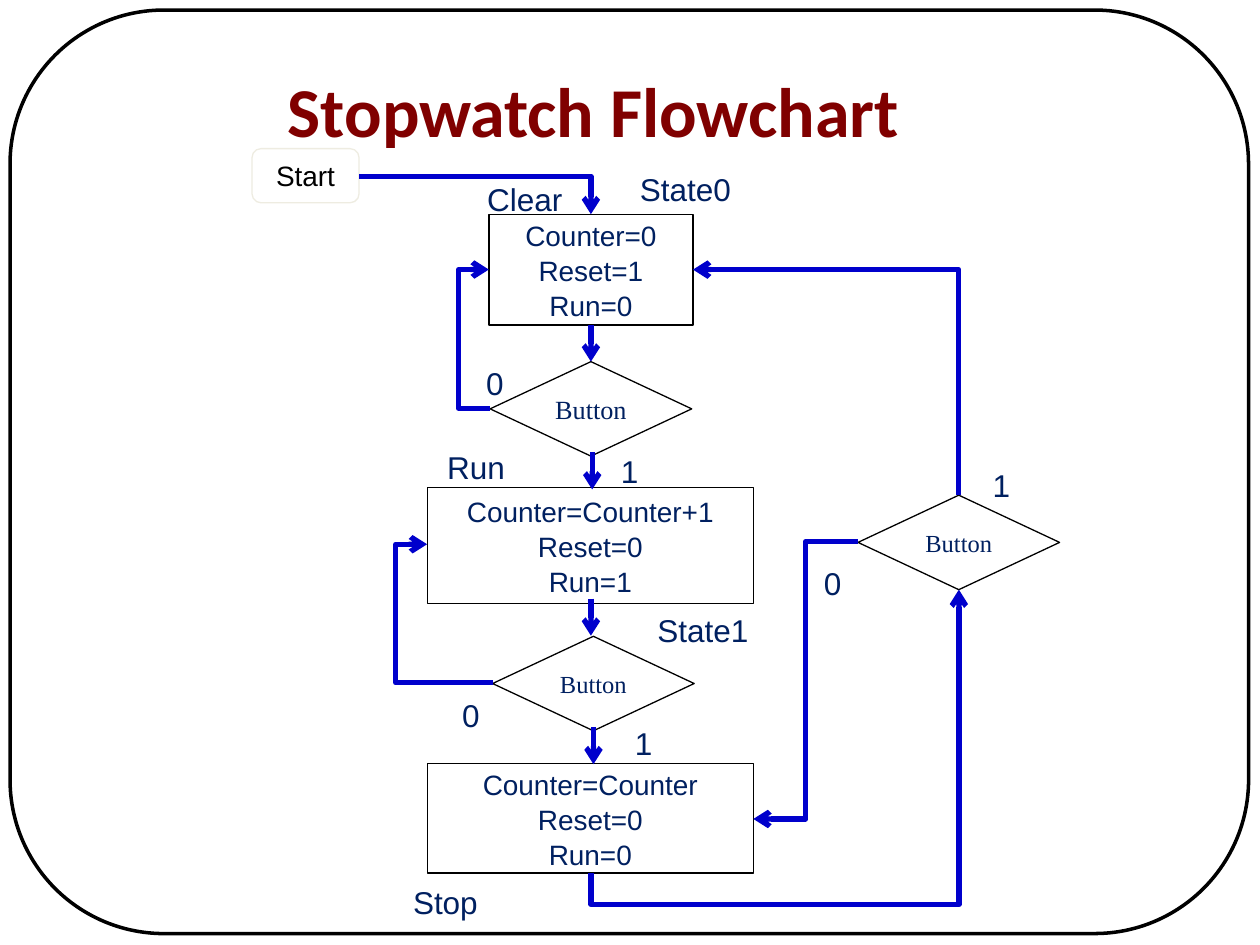
from lxml import etree
from pptx import Presentation
from pptx import util as u
from pptx.dml.color import RGBColor
from pptx.enum import shapes, text
from pptx.oxml.ns import qn

BLACK = RGBColor(0x00, 0x00, 0x00)
WHITE = RGBColor(0xFF, 0xFF, 0xFF)
IVORY = RGBColor(0xEE, 0xEC, 0xE1)
MAROON = RGBColor(0x80, 0x00, 0x00)
NAVY = RGBColor(0x00, 0x20, 0x60)
BLUE = RGBColor(0x00, 0x00, 0xCC)

COLUMNS, ROWS = 100, 75
CENTER = text.PP_ALIGN.CENTER
LEFT = text.PP_ALIGN.LEFT


class Flowchart:
    def __init__(self, deck):
        self.cell_w = deck.slide_width / COLUMNS
        self.cell_h = deck.slide_height / ROWS
        self.shapes = deck.slides.add_slide(deck.slide_layouts[6]).shapes

    def place(self, *lengths):
        cells = (self.cell_w, self.cell_h)
        return [u.Emu(round(n * cells[i % 2])) for i, n in enumerate(lengths)]

    def caption(self, shape, lines, size, font="Arial", color=NAVY, align=CENTER,
                bold=False, spacing=None):
        frame = shape.text_frame
        frame.word_wrap = True
        frame.vertical_anchor = text.MSO_ANCHOR.MIDDLE
        frame.text = "\n".join(lines)
        for paragraph in frame.paragraphs:
            paragraph.alignment = align
            paragraph.line_spacing = spacing
            paragraph.font.size = u.Pt(size)
            paragraph.font.name = font
            paragraph.font.bold = bold
            paragraph.font.color.rgb = color

    def outline(self, kind, at, line=BLACK, width=0.75, fill=None):
        shape = self.shapes.add_shape(kind, *self.place(*at))
        shape.shadow.inherit = False
        if fill is None:
            shape.fill.background()
        else:
            shape.fill.solid()
            shape.fill.fore_color.rgb = fill
        shape.line.color.rgb = line
        shape.line.width = u.Pt(width)
        return shape

    def rounded(self, at, line, width):
        return self.outline(shapes.MSO_SHAPE.ROUNDED_RECTANGLE, at, line, width)

    def process(self, at, *lines):
        box = self.outline(shapes.MSO_SHAPE.FLOWCHART_PROCESS, at, fill=WHITE)
        self.caption(box, lines, 16, spacing=1.04)
        return box

    def decision(self, left, top, size=14):
        diamond = self.outline(shapes.MSO_SHAPE.FLOWCHART_DECISION,
                               (left, top, 16, 7.5), fill=WHITE)
        self.caption(diamond, ["Button"], size, "Times New Roman")
        return diamond

    def label(self, wording, at, size=18, **style):
        self.caption(self.shapes.add_textbox(*self.place(*at)), [wording], size, **style)

    def arrow(self, start, end, kind=shapes.MSO_CONNECTOR.STRAIGHT):
        link = self.shapes.add_connector(kind, *self.place(*start, *end))
        link.line.color.rgb = BLUE
        link.line.width = u.Pt(3)
        properties = link._element.spPr
        etree.SubElement(properties.find(qn("a:ln")), qn("a:tailEnd"), type="arrow")
        etree.SubElement(properties, qn("a:effectLst"))
        return link

    def elbow(self, start, end, bend=None, upward=False):
        link = self.arrow(start, end, shapes.MSO_CONNECTOR.ELBOW)
        properties = link._element.spPr
        geometry = properties.find(qn("a:prstGeom"))
        if bend is None:
            geometry.set("prst", "bentConnector2")
        else:
            guides = geometry.find(qn("a:avLst"))
            if guides is None:
                guides = etree.SubElement(geometry, qn("a:avLst"))
            etree.SubElement(guides, qn("a:gd"), name="adj1",
                             fmla=f"val {round(bend * 100000)}")
        if upward:
            frame = properties.find(qn("a:xfrm"))
            for flip in ("flipH", "flipV"):
                frame.attrib.pop(flip, None)
            frame.set("rot", str(270 * 60000))
            if end[0] < start[0]:
                frame.set("flipV", "1")
            middle_x = link.left + link.width / 2
            middle_y = link.top + link.height / 2
            link.width, link.height = link.height, link.width
            link.left = u.Emu(round(middle_x - link.width / 2))
            link.top = u.Emu(round(middle_y - link.height / 2))


def main():
    deck = Presentation()
    deck.slide_width, deck.slide_height = u.Inches(10), u.Inches(7.5)
    chart = Flowchart(deck)

    chart.rounded((0.8, 0.8, 98.3, 73.3), BLACK, 2)
    chart.label("Stopwatch Flowchart", (13.8, 4.9, 66.6, 7.6), 40,
                font="Calibri", color=MAROON, bold=True)

    start = chart.rounded((20, 11.8, 8.5, 4.3), IVORY, 0.75)
    chart.caption(start, ["Start"], 16, color=BLACK)
    clear = chart.process((38.8, 17, 16.2, 8.8), "Counter=0", "Reset=1", "Run=0")
    clear_check = chart.decision(38.9, 28.7, 15)
    chart.process((33.9, 38.7, 25.9, 9.2), "Counter=Counter+1", "Reset=0", "Run=1")
    chart.decision(39.1, 50.5)
    chart.process((33.9, 60.6, 25.9, 8.7), "Counter=Counter", "Reset=0", "Run=0")
    chart.decision(68.1, 39.3)

    clear_exit = chart.arrow((46.9, 25.8), (46.9, 28.7))
    clear_exit.begin_connect(clear, 2)
    clear_exit.end_connect(clear_check, 0)
    for x, y in ((47, 35.9), (46.9, 47.5), (47.1, 57.7)):
        chart.arrow((x, y), (x, y + 2.95))

    chart.elbow((28.5, 14), (46.9, 17))
    chart.elbow((38.9, 32.4), (38.8, 21.4), bend=25.24)
    chart.elbow((39.1, 54.2), (33.9, 43.2), bend=1.48)
    chart.elbow((68.1, 43), (59.8, 65), bend=0.5)
    chart.elbow((46.9, 69.3), (76.1, 46.8), bend=-0.11, upward=True)
    chart.elbow((76.1, 39.3), (55, 21.4), upward=True)

    chart.label("Clear", (36.4, 14.5, 10.5, 2.5))
    for wording, left, top, width in (
        ("Run", 34.5, 35.8, 6.9),
        ("0", 37.6, 29.1, 3.8),
        ("1", 48.3, 36.1, 3.8),
        ("0", 35.7, 55.5, 3.8),
        ("1", 49.4, 57.7, 3.8),
        ("0", 64.4, 45, 3.8),
        ("1", 77.8, 37.2, 3.8),
        ("State0", 49.8, 13.7, 11.7),
        ("State1", 51.2, 48.7, 11.7),
        ("Stop", 31.8, 70.3, 11.7),
    ):
        chart.label(wording, (left, top, width, 2.5), align=LEFT)

    deck.save("out.pptx")


if __name__ == "__main__":
    main()
